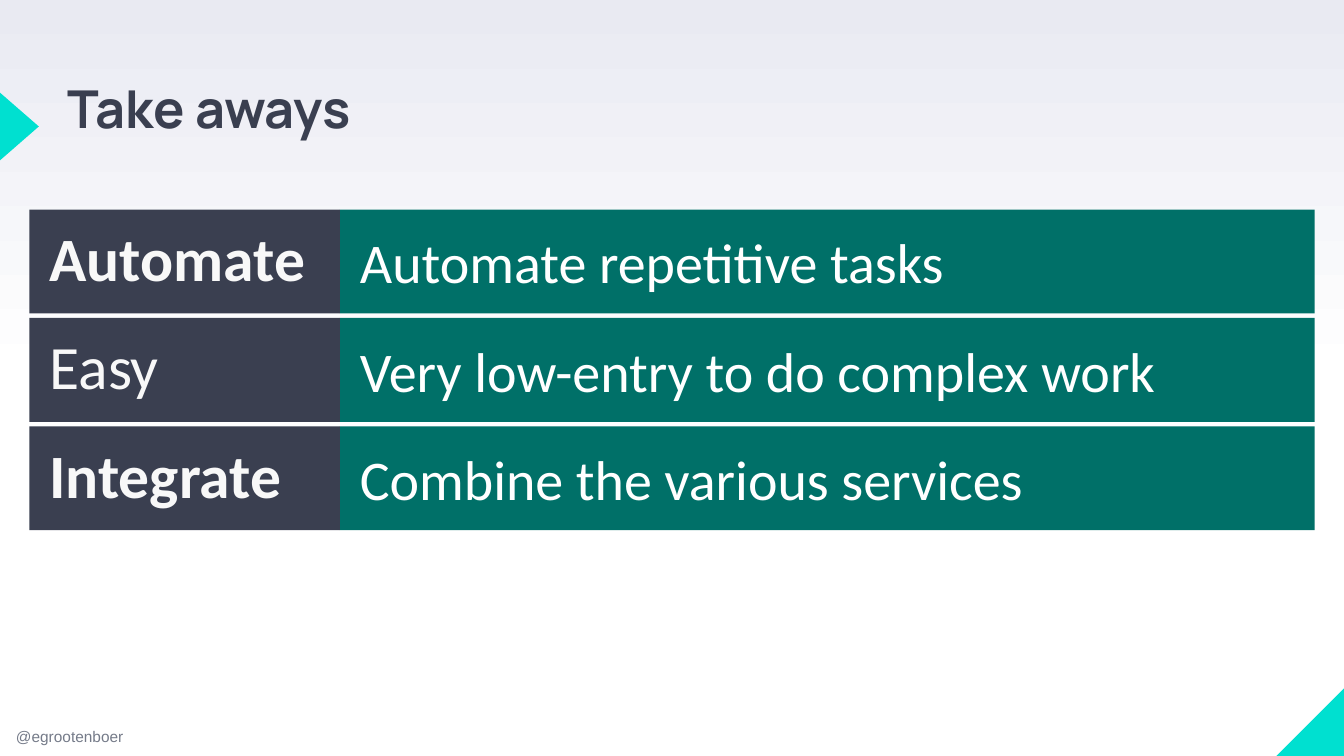
from copy import deepcopy

from pptx import Presentation
from pptx.dml.color import RGBColor
from pptx.enum.shapes import MSO_SHAPE
from pptx.enum.text import MSO_ANCHOR, MSO_AUTO_SIZE, PP_ALIGN
from pptx.oxml.ns import qn
from pptx.util import Inches, Pt

TITLE = "Take aways"
HANDLE = "@egrootenboer"
TAKEAWAYS = [  # label, explanation, label is bold
    ("Automate", "Automate repetitive tasks", True),
    ("Easy", "Very low-entry to do complex work", False),
    ("Integrate", "Combine the various services", True),
]
COLORS = {
    "accent": "00E0D0",
    "teal": "007068",
    "dark": "3A3F50",
    "grey": "757B89",
    "white": "FFFFFF",
    "off_white": "F8F8F8",
    "lavender": "E9EAF2",
}
WIDTH, HEIGHT = 13.33, 7.5
GRID_LEFT, GRID_TOP = 0.29, 2.08
LABEL_WIDTH, TEXT_WIDTH = 3.08, 9.67
ROW_HEIGHT, ROW_PITCH = 1.03, 1.075
CORNER = 0.68


def color(name):
    return RGBColor.from_string(COLORS[name])


def write(shape, text, *, size, font, ink, bold=False, spacing=None,
          anchor=MSO_ANCHOR.TOP, inset=(0.1, 0.05), wrap=True):
    frame = shape.text_frame
    frame.word_wrap = wrap
    frame.auto_size = MSO_AUTO_SIZE.NONE if wrap else MSO_AUTO_SIZE.SHAPE_TO_FIT_TEXT
    frame.vertical_anchor = anchor
    frame.margin_left = frame.margin_right = Inches(inset[0])
    frame.margin_top = frame.margin_bottom = Inches(inset[1])
    paragraph = frame.paragraphs[0]
    paragraph.alignment = PP_ALIGN.LEFT
    if spacing:
        paragraph.line_spacing = spacing
    run = paragraph.add_run()
    run.text = text
    run.font.size = Pt(size)
    run.font.name = font
    run.font.bold = bold
    run.font.color.rgb = color(ink)


def add_block(slide, kind, box, fill):
    shape = slide.shapes.add_shape(kind, *map(Inches, box))
    shape.shadow.inherit = False
    shape.fill.solid()
    shape.fill.fore_color.rgb = color(fill)
    shape.line.fill.background()
    return shape


def paint_background(slide):
    """White lower half, fading to lavender at the top edge."""
    fill = slide.background.fill
    fill.gradient()
    fill.gradient_angle = 90
    stop_list = next(slide.element.iter(qn("a:gsLst")))
    stop_list.insert(1, deepcopy(stop_list[0]))
    stops = [(0, "white"), (0.5, "white"), (1, "lavender")]
    for stop, (position, name) in zip(fill.gradient_stops, stops):
        stop.position = position
        stop.color.rgb = color(name)


def add_decoration(slide):
    handle = slide.shapes.add_textbox(*map(Inches, (0.06, 7.16, 1.27, 0.29)))
    write(handle, HANDLE, size=11, font="Arial", ink="grey", wrap=False)
    corner = add_block(slide, MSO_SHAPE.RIGHT_TRIANGLE,
                       (WIDTH - CORNER + 0.01, HEIGHT - CORNER, CORNER, CORNER), "accent")
    corner.element.spPr.find(qn("a:xfrm")).set("flipH", "1")
    pointer = add_block(slide, MSO_SHAPE.ISOSCELES_TRIANGLE,
                        (-0.15, 1.06, CORNER, 0.39), "accent")
    pointer.rotation = 90


def add_title(slide):
    title = slide.shapes.title
    title.left, title.top, title.width, title.height = map(Inches, (0.67, 0.88, 8.23, 1.58))
    write(title, TITLE, size=37.3, font="Manrope", ink="dark", bold=True,
          spacing=0.8, inset=(0, 0))


def add_takeaways(slide):
    cell = {"font": "Calibri", "anchor": MSO_ANCHOR.MIDDLE, "inset": (0.2, 0.16)}
    for row, (label, text, bold) in enumerate(TAKEAWAYS):
        top = GRID_TOP + row * ROW_PITCH
        text_block = add_block(slide, MSO_SHAPE.RECTANGLE,
                               (GRID_LEFT + LABEL_WIDTH, top, TEXT_WIDTH, ROW_HEIGHT), "teal")
        write(text_block, text, size=40, ink="white", **cell)
        label_block = add_block(slide, MSO_SHAPE.RECTANGLE,
                                (GRID_LEFT, top, LABEL_WIDTH, ROW_HEIGHT), "dark")
        write(label_block, label, size=44, ink="off_white", bold=bold, spacing=0.9, **cell)


def main():
    presentation = Presentation()
    presentation.slide_width, presentation.slide_height = Inches(WIDTH), Inches(HEIGHT)
    slide = presentation.slides.add_slide(presentation.slide_layouts.get_by_name("Title Only"))
    paint_background(slide)
    add_decoration(slide)
    add_title(slide)
    add_takeaways(slide)
    presentation.save("out.pptx")


if __name__ == "__main__":
    main()
